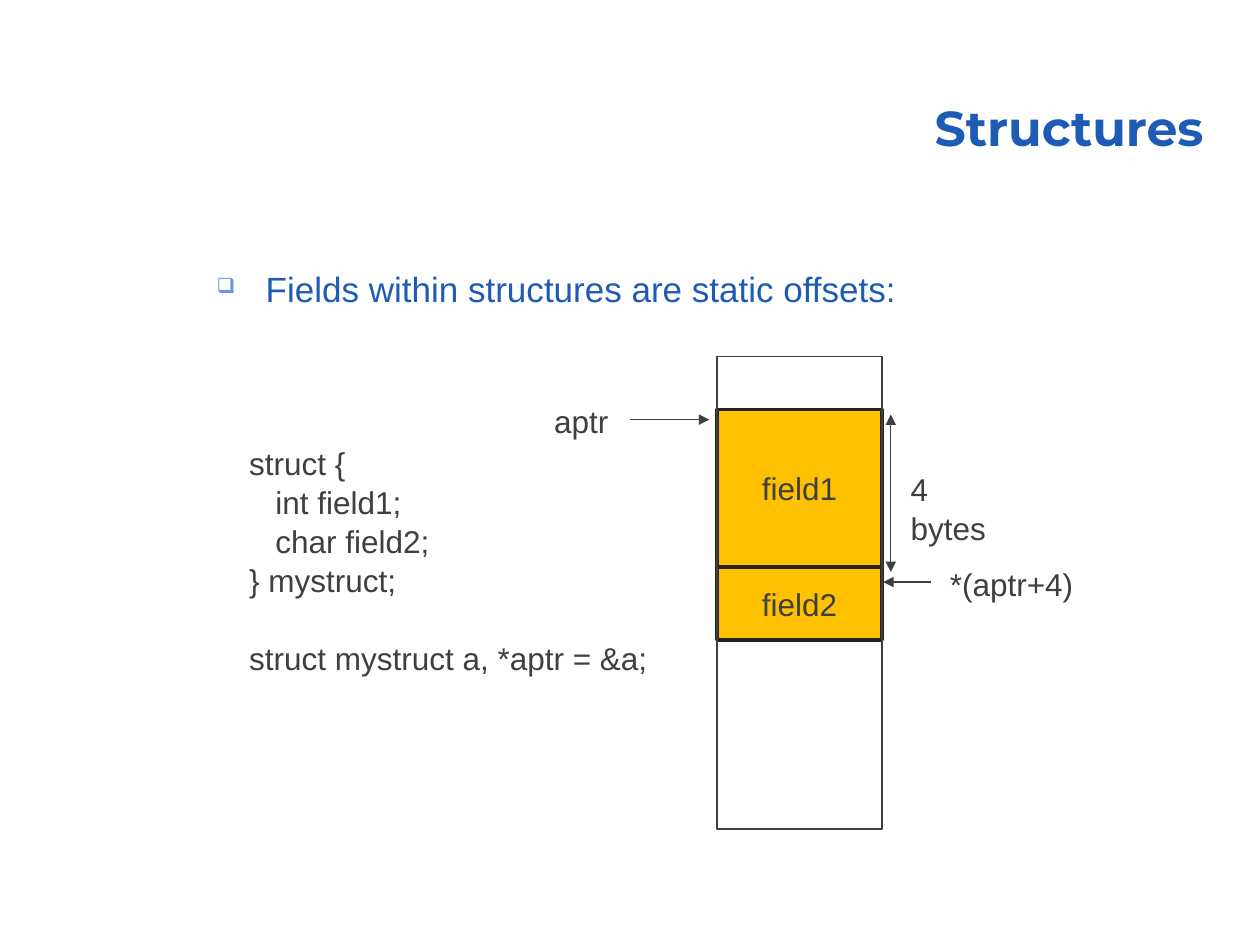
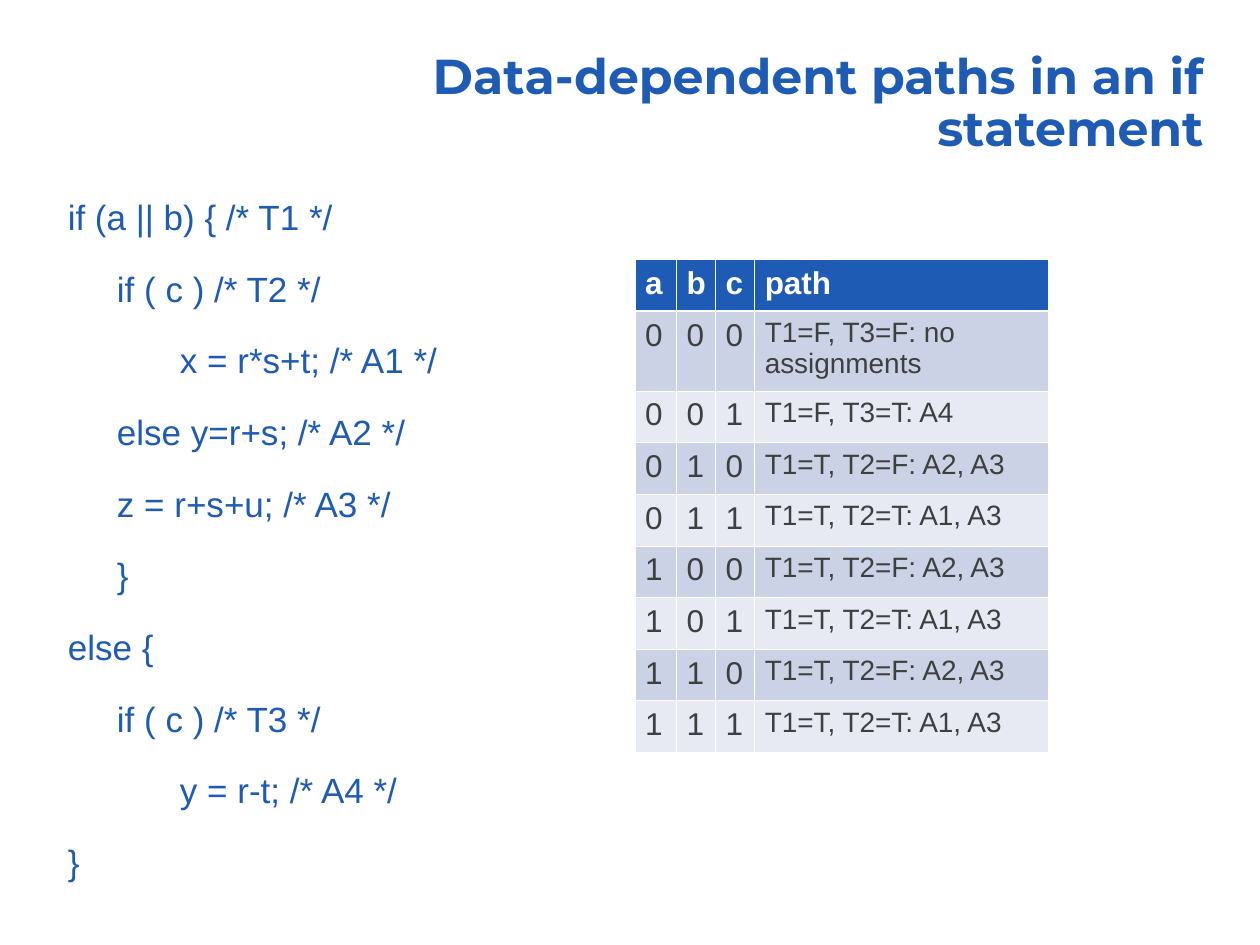
from lxml import etree
from pptx import Presentation
from pptx import util as u
from pptx.dml.color import RGBColor
from pptx.enum import shapes, text
from pptx.oxml import ns

PX = u.Inches(1) // 100  # 100 px to the inch

COLORS = {
    "blue": "1E5BB4",
    "bullet": "6599E5",
    "ink": "3D3F41",
    "edge": "232325",
    "amber": "FFC000",
    "white": "FFFFFF",
    "band_dark": "CCD2E5",
    "band_light": "E7EAF2",
}
RGB = {name: RGBColor.from_string(value) for name, value in COLORS.items()}

ALIGN = text.PP_ALIGN
TITLE = {
    "font": {"name": "Montserrat", "size": u.Pt(28), "bold": True},
    "color": "blue",
    "paragraph": {"alignment": ALIGN.RIGHT, "line_spacing": 0.9},
    "frame": {"word_wrap": True, "vertical_anchor": text.MSO_ANCHOR.BOTTOM},
}
BODY = {
    "font": {"name": "Arial", "size": u.Pt(20)},
    "color": "blue",
    "paragraph": {"alignment": ALIGN.JUSTIFY, "line_spacing": 1.04},
    "frame": {"word_wrap": True},
    "gap": u.Pt(16),
    "hanging": 39 * PX,
}
LABEL = {
    "font": {"name": "Arial", "size": u.Pt(18)},
    "color": "ink",
    "paragraph": {"line_spacing": 1.04},
    "frame": {"word_wrap": False},
}
FIELD = LABEL | {
    "paragraph": {"alignment": ALIGN.CENTER},
    "frame": {"word_wrap": False, "vertical_anchor": text.MSO_ANCHOR.MIDDLE},
}
HEADER_CELL = {
    "font": {"name": "Arial", "size": u.Pt(18), "bold": True},
    "color": "white",
    "paragraph": {},
    "frame": {},
}
VALUE_CELL = HEADER_CELL | {"font": {"name": "Arial", "size": u.Pt(18)}, "color": "ink"}
PATH_CELL = VALUE_CELL | {"font": {"name": "Arial", "size": u.Pt(16)}}


def add_xml(parent, tag, **attributes):
    return etree.SubElement(parent, ns.qn(tag), attributes)


def write(frame, lines, style):
    """Fill a text frame with one paragraph per line; return the paragraphs."""
    for name, value in style["frame"].items():
        setattr(frame, name, value)
    for index, line in enumerate(lines):
        paragraph = frame.add_paragraph() if index else frame.paragraphs[0]
        run = paragraph.add_run()
        run.text = line
        for name, value in style["paragraph"].items():
            setattr(paragraph, name, value)
        for name, value in style["font"].items():
            setattr(run.font, name, value)
        run.font.color.rgb = RGB[style["color"]]
        if index and "gap" in style:
            paragraph.space_before = style["gap"]
        if "hanging" in style:
            properties = paragraph._p.get_or_add_pPr()
            properties.set("marL", str(style["hanging"]))
            properties.set("indent", str(-style["hanging"]))
    return frame.paragraphs


presentation = Presentation()
presentation.slide_width, presentation.slide_height = 1000 * PX, 750 * PX

slides = []
for title in ("Structures", "Data-dependent paths in an if statement"):
    slide = presentation.slides.add_slide(presentation.slide_layouts[6])
    box = slide.shapes.add_textbox(294 * PX, 53 * PX, 671 * PX, 77 * PX)
    write(box.text_frame, [title], TITLE)
    slides.append(slide)
structures, if_paths = slides

# Structures: bullet line
box = structures.shapes.add_textbox(162 * PX, 206 * PX, 671 * PX, 69 * PX)
statement = write(box.text_frame, ["Fields within structures are static offsets:"], BODY)[0]
properties = statement._p.get_or_add_pPr()
add_xml(add_xml(properties, "a:buClr"), "a:srgbClr", val=COLORS["bullet"])
add_xml(properties, "a:buSzPct", val="60000")
add_xml(properties, "a:buChar", char="❑")

# Structures: memory column with the two fields
MEMORY_LEFT, MEMORY_WIDTH = 569, 131
memory_blocks = [
    # top, height, label, fill, line colour, line width
    (325, 125, "field1", "amber", "edge", 2),
    (450, 58, "field2", "amber", "edge", 2),
    (283, 375, None, None, "ink", 0.75),
]
for top, height, label, fill, line, width in memory_blocks:
    block = structures.shapes.add_shape(
        shapes.MSO_SHAPE.RECTANGLE, MEMORY_LEFT * PX, top * PX, MEMORY_WIDTH * PX, height * PX)
    block.shadow.inherit = False
    block.line.color.rgb = RGB[line]
    block.line.width = u.Pt(width)
    if fill:
        block.fill.solid()
        block.fill.fore_color.rgb = RGB[fill]
        write(block.text_frame, [label], FIELD)
    else:
        block.fill.background()

# Structures: pointers and the size span
arrows = [
    # from x, from y, to x, to y, ends with a head
    (500, 333, 563, 333, ["a:tailEnd"]),
    (707, 329, 707, 454, ["a:headEnd", "a:tailEnd"]),
    (739, 462, 701, 462, ["a:tailEnd"]),
]
for *ends, heads in arrows:
    arrow = structures.shapes.add_connector(
        shapes.MSO_CONNECTOR.STRAIGHT, *(value * PX for value in ends))
    arrow.line.color.rgb = RGB["ink"]
    arrow.line.width = u.Pt(0.75)
    for head in heads:
        add_xml(arrow.line._get_or_add_ln(), head, type="triangle")
    add_xml(arrow._element.spPr, "a:effectLst")

labels = [
    (430, 313, 63, 40, ["aptr"]),
    (713, 367, 100, 40, ["4 bytes"]),
    (744, 442, 118, 40, ["*(aptr+4)"]),
    (188, 346, 336, 220, [
        "struct {",
        "   int field1;",
        "   char field2;",
        "} mystruct;",
        "struct mystruct a, *aptr = &a;",
    ]),
]
for *place, lines in labels:
    box = structures.shapes.add_textbox(*(value * PX for value in place))
    paragraphs = write(box.text_frame, lines, LABEL)
paragraphs[-1].space_before = u.Pt(21.6)  # one line between type and variable

# If statement: code
code = [
    "if (a || b) { /* T1 */",
    "\tif ( c ) /* T2 */",
    "\t\tx = r*s+t; /* A1 */",
    "\telse y=r+s; /* A2 */",
    "\tz = r+s+u; /* A3 */",
    "\t}",
    "else {",
    "\tif ( c ) /* T3 */",
    "\t\ty = r-t; /* A4 */",
    "}",
]
box = if_paths.shapes.add_textbox(44 * PX, 149 * PX, 454 * PX, 568 * PX)
for paragraph in write(box.text_frame, code, BODY):
    tabs = add_xml(paragraph._p.get_or_add_pPr(), "a:tabLst")
    for inch in range(8):
        add_xml(tabs, "a:tab", pos=str(u.Inches(inch)), algn="l")

# If statement: path taken for each combination of a, b and c
ELSE_PATHS = ["T1=F, T3=F: no assignments", "T1=F, T3=T: A4"]
THEN_PATHS = ["T1=T, T2=F: A2, A3", "T1=T, T2=T: A1, A3"]
rows = [["a", "b", "c", "path"]]
for number in range(8):
    a, b, c = (int(bit) for bit in f"{number:03b}")
    rows.append([str(a), str(b), str(c), (THEN_PATHS if a or b else ELSE_PATHS)[c]])

table = if_paths.shapes.add_table(
    len(rows), 4, 504 * PX, 206 * PX, 328 * PX, 391 * PX).table
for column, width in zip(table.columns, (33, 31, 31, 233)):
    column.width = width * PX
for row_index, values in enumerate(rows):
    table.rows[row_index].height = (63 if row_index == 1 else 41) * PX
    fill = ("band_dark" if row_index % 2 else "band_light") if row_index else "blue"
    for column_index, value in enumerate(values):
        cell = table.cell(row_index, column_index)
        cell.margin_left = cell.margin_right = 8 * PX
        cell.margin_top = cell.margin_bottom = 5 * PX
        body_style = PATH_CELL if column_index == 3 else VALUE_CELL
        write(cell.text_frame, [value], body_style if row_index else HEADER_CELL)
        borders = cell._tc.get_or_add_tcPr()
        for side in "LRTB":
            under_header = (row_index, side) in ((0, "B"), (1, "T"))
            border = add_xml(borders, f"a:ln{side}", w=str(u.Pt(1.47 if under_header else 0.45)))
            add_xml(add_xml(border, "a:solidFill"), "a:srgbClr", val=COLORS["white"])
        cell.fill.solid()
        cell.fill.fore_color.rgb = RGB[fill]

presentation.save("out.pptx")
